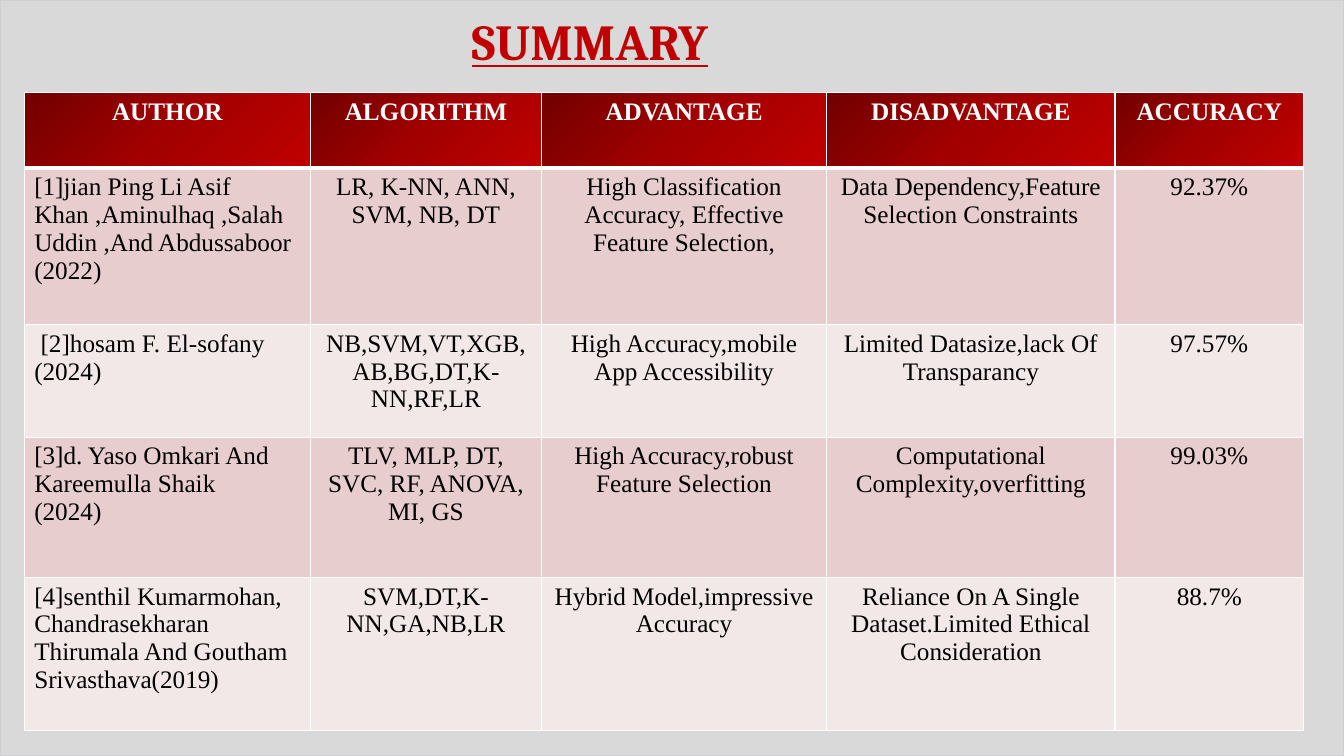
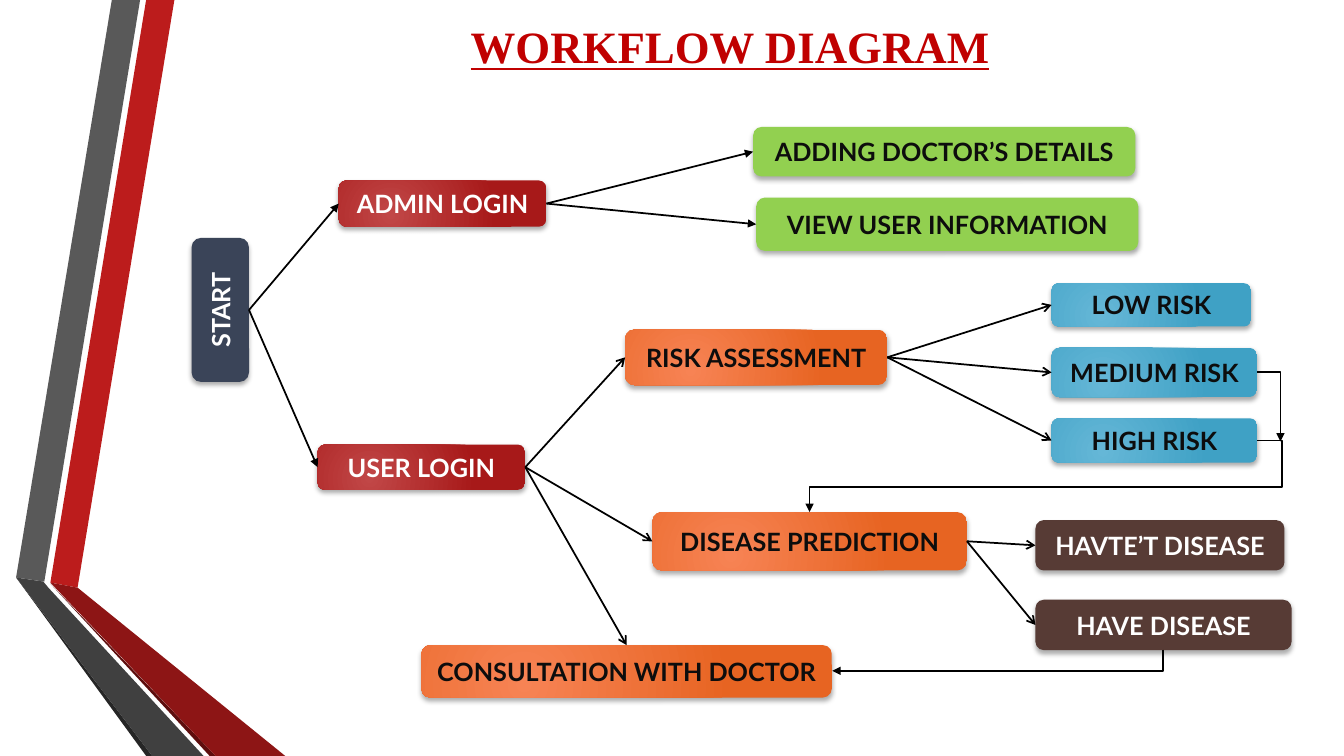
from dataclasses import dataclass
from pptx import Presentation
from pptx.dml.color import RGBColor as RGB
from pptx.enum.shapes import MSO_CONNECTOR as LINK, MSO_SHAPE as SHAPE
from pptx.enum.text import MSO_ANCHOR as ANCHOR, PP_ALIGN as ALIGN
from pptx.oxml import parse_xml
from pptx.oxml.ns import nsdecls, qn
from pptx.util import Inches, Pt


@dataclass(frozen=True)
class Theme:
    white: str = "FFFFFF"
    black: str = "000000"
    ink: str = "0D0D0D"
    title: str = "C00000"
    panel: str = "D9D9D9"
    panel_line: str = "CDD0D1"
    bands: tuple = ("E7CDCD", "F3E8E8")
    header: tuple = ("720000", "A20000", "C00000")
    serif: str = "Times New Roman"
    display: str = "Cambria"
    sans: str = "Lato"
    body_size: int = 18
    line: float = 1.25


T = Theme()
W, H = 13.33, 7.5

RIBBONS = [
    ("BC1C1C", [(0.5, 5.78), (0.77, 5.83), (1.73, 0), (1.45, 0)]),
    ("595959", [(1.39, 0), (1.11, 0), (0.16, 5.73), (0.44, 5.77)]),
    ("262626", [(0.16, 5.73), (1.45, 7.5), (1.51, 7.5)]),
    ("5E0E0E", [(0.5, 5.79), (2.08, 7.5), (2.14, 7.5)]),
    ("8D1515", [(0.5, 5.78), (2.14, 7.5), (2.83, 7.5), (0.77, 5.83)]),
    ("404040", [(2.02, 7.5), (0.48, 5.83), (0.43, 5.77), (0.16, 5.73), (1.51, 7.5)]),
]

COLUMNS = [("AUTHOR", 2.84), ("ALGORITHM", 2.29), ("ADVANTAGE", 2.83),
           ("DISADVANTAGE", 2.86), ("ACCURACY", 1.87)]
ROW_HEIGHTS = [0.75, 1.55, 1.12, 1.39, 1.52]
STUDIES = [
    ("[1]jian Ping Li Asif Khan ,Aminulhaq ,Salah Uddin ,And Abdussaboor\n(2022)",
     "LR, K-NN, ANN, SVM, NB, DT",
     "High Classification Accuracy, Effective Feature Selection,",
     "Data Dependency,Feature Selection Constraints", "92.37%"),
    (" [2]hosam F. El-sofany\n(2024)",
     "NB,SVM,VT,XGB,AB,BG,DT,K-NN,RF,LR",
     "High Accuracy,mobile App Accessibility",
     "Limited Datasize,lack Of Transparancy", "97.57%"),
    ("[3]d. Yaso Omkari And Kareemulla Shaik\n(2024)",
     "TLV, MLP, DT, SVC, RF, ANOVA, MI, GS",
     "High Accuracy,robust Feature Selection",
     "Computational Complexity,overfitting", "99.03%"),
    ("[4]senthil Kumarmohan, Chandrasekharan Thirumala And Goutham Srivasthava(2019)",
     "SVM,DT,K-NN,GA,NB,LR",
     "Hybrid Model,impressive Accuracy",
     "Reliance On A Single Dataset.Limited Ethical Consideration", "88.7%"),
]

STYLES = {
    "start": ("3A4458", T.white),
    "login": (("C14747", "A71919"), T.white),
    "admin": ("92D050", T.ink),
    "user": (("F78354", "E76422"), T.ink),
    "risk": (("65B7D7", "3FA1C5"), T.ink),
    "result": ("573B35", T.white),
}
STEPS = {
    "START": ("start", 1.9, 2.36, 0.57, 1.43),
    "ADMIN LOGIN": ("login", 3.36, 1.79, 2.06, 0.46),
    "USER LOGIN": ("login", 3.15, 4.41, 2.06, 0.45),
    "ADDING DOCTOR’S DETAILS": ("admin", 7.47, 1.26, 3.79, 0.49),
    "VIEW USER INFORMATION": ("admin", 7.5, 1.96, 3.79, 0.53),
    "RISK ASSESSMENT": ("user", 6.2, 3.27, 2.6, 0.55),
    "DISEASE PREDICTION": ("user", 6.47, 5.08, 3.12, 0.58),
    "CONSULTATION WITH DOCTOR": ("user", 4.18, 6.4, 4.07, 0.52),
    "LOW RISK": ("risk", 10.43, 2.81, 1.98, 0.43),
    "MEDIUM RISK": ("risk", 10.43, 3.45, 2.04, 0.49),
    "HIGH RISK": ("risk", 10.43, 4.15, 2.04, 0.44),
    "HAVTE’T DISEASE": ("result", 10.27, 5.16, 2.47, 0.5),
    "HAVE DISEASE": ("result", 10.27, 5.95, 2.54, 0.5),
}
TOP, LEFT, RIGHT = 0, 1, 3
FLOWS = [
    ("START", "triangle", [("ADMIN LOGIN", LEFT), ("USER LOGIN", LEFT)]),
    ("ADMIN LOGIN", "triangle", [("ADDING DOCTOR’S DETAILS", LEFT),
                                 ("VIEW USER INFORMATION", LEFT)]),
    ("USER LOGIN", "arrow", [("RISK ASSESSMENT", LEFT), ("DISEASE PREDICTION", LEFT),
                             ("CONSULTATION WITH DOCTOR", TOP)]),
    ("RISK ASSESSMENT", "arrow", [("LOW RISK", LEFT), ("MEDIUM RISK", LEFT),
                                  ("HIGH RISK", LEFT)]),
    ("DISEASE PREDICTION", "arrow", [("HAVTE’T DISEASE", LEFT), ("HAVE DISEASE", LEFT)]),
]
ELBOWS = [
    ("bentConnector2", (12.47, 3.69), (12.7, 4.38), 0, ()),
    ("bentConnector4", (12.47, 4.37), (8.03, 5.08), 0, (-5600, 65400)),
    ("bentConnector2", (9.79, 4.91), (10, 8.19), 90, ()),
]


def paint(fill, parent, color, focus):
    fill.solid()
    if isinstance(color, str):
        fill.fore_color.rgb = RGB.from_string(color)
        return
    stops = "".join(
        f'<a:gs pos="{100000 * i // (len(color) - 1)}"><a:srgbClr val="{c}"/></a:gs>'
        for i, c in enumerate(color))
    l, t, r, b = (1000 * v for v in focus)
    gradient = parse_xml(
        f'<a:gradFill {nsdecls("a")} rotWithShape="1"><a:gsLst>{stops}</a:gsLst>'
        f'<a:path path="circle"><a:fillToRect l="{l}" t="{t}" r="{r}" b="{b}"/></a:path>'
        '</a:gradFill>')
    parent.replace(parent.find(qn("a:solidFill")), gradient)


def write(tf, text, font, size, color, bold=False, underline=False, align=ALIGN.LEFT):
    for i, line in enumerate(text.split("\n")):
        p = tf.add_paragraph() if i else tf.paragraphs[0]
        p.alignment = align
        r = p.add_run()
        r.text = line
        r.font.name, r.font.size = font, Pt(size)
        r.font.bold, r.font.underline = bold, underline
        r.font.color.rgb = RGB.from_string(color)


def add_title(s, text, box, font, size, anchor):
    tf = s.shapes.add_textbox(*map(Inches, box)).text_frame
    tf.word_wrap = True
    tf.vertical_anchor = anchor
    write(tf, text, font, size, T.title, True, True)


def add_ribbons(s, layout):
    for color, points in RIBBONS:
        points = [tuple(map(Inches, pt)) for pt in points]
        fb = s.shapes.build_freeform(*points[0])
        fb.add_line_segments(points[1:], close=True)
        sp = fb.convert_to_shape()
        sp.shadow.inherit = False
        paint(sp.fill, sp._element.spPr, color, None)
        sp.line.fill.background()
        layout.shapes._spTree.append(sp._element)


def style_cell(cell, text, header, color, align):
    tcPr = cell._tc.get_or_add_tcPr()
    for side in "LRTB":
        width = Pt(3 if header and side == "B" else 1)
        tcPr.append(parse_xml(
            f'<a:ln{side} {nsdecls("a")} w="{width}"><a:solidFill>'
            f'<a:srgbClr val="{T.white}"/></a:solidFill></a:ln{side}>'))
    paint(cell.fill, tcPr, color, (0, 0, 100, 100))
    write(cell.text_frame, text, T.serif, T.body_size,
          T.white if header else T.black, header, align=align)


def add_summary(s):
    panel = s.shapes.add_shape(SHAPE.RECTANGLE, 0, 0, Inches(W), Inches(H))
    panel.shadow.inherit = False
    paint(panel.fill, panel._element.spPr, T.panel, None)
    panel.line.color.rgb = RGB.from_string(T.panel_line)
    panel.line.width = Pt(T.line)
    rows = [[name for name, _ in COLUMNS], *STUDIES]
    table = s.shapes.add_table(len(rows), len(COLUMNS), Inches(0.24), Inches(0.92),
                               Inches(12.7), Inches(sum(ROW_HEIGHTS))).table
    for col, (_, width) in zip(table.columns, COLUMNS):
        col.width = Inches(width)
    for i, (values, height) in enumerate(zip(rows, ROW_HEIGHTS)):
        table.rows[i].height = Inches(height)
        for j, text in enumerate(values):
            color = T.bands[(i - 1) % 2] if i else T.header
            align = ALIGN.LEFT if i and j == 0 else ALIGN.CENTER
            style_cell(table.cell(i, j), text, i == 0, color, align)
    add_title(s, "SUMMARY", (4.58, 0.12, 3.33, 0.57), T.display, 36, ANCHOR.MIDDLE)


def add_step(s, text, style, *box):
    color, ink = STYLES[style]
    sp = s.shapes.add_shape(SHAPE.ROUNDED_RECTANGLE, *map(Inches, box))
    spPr = sp._element.spPr
    paint(sp.fill, spPr, color, (50, 100, 100, 50))
    sp.line.fill.background()
    sp.shadow.inherit = False
    spPr.find(qn("a:effectLst")).append(parse_xml(
        f'<a:outerShdw {nsdecls("a")} blurRad="{Pt(3.5)}" dist="{Pt(2.2)}" dir="5400000" '
        f'rotWithShape="0"><a:srgbClr val="{T.black}"><a:alpha val="32000"/></a:srgbClr>'
        '</a:outerShdw>'))
    tf = sp.text_frame
    tf.word_wrap = True
    tf.vertical_anchor = ANCHOR.MIDDLE
    if style == "start":
        tf._txBody.bodyPr.set("vert", "vert270")
    write(tf, text, T.sans, T.body_size, ink, True, align=ALIGN.CENTER)
    return sp


def add_arrow(s, kind, head, start=(0, 0), end=(0, 0)):
    link = s.shapes.add_connector(kind, *map(Inches, (*start, *end)))
    link.line.color.rgb = RGB.from_string(T.black)
    link.line.width = Pt(T.line)
    spPr = link._element.spPr
    spPr.find(qn("a:ln")).append(parse_xml(f'<a:tailEnd {nsdecls("a")} type="{head}"/>'))
    spPr.append(parse_xml(f'<a:effectLst {nsdecls("a")}/>'))
    return link


def add_elbow(s, preset, start, end, turn, adjusts):
    spPr = add_arrow(s, LINK.ELBOW, "triangle", start, end)._element.spPr
    if turn:
        spPr.find(qn("a:xfrm")).set("rot", str(turn * 60000))
    guides = "".join(f'<a:gd name="adj{i}" fmla="val {v}"/>'
                     for i, v in enumerate(adjusts, 1))
    spPr.replace(spPr.find(qn("a:prstGeom")), parse_xml(
        f'<a:prstGeom {nsdecls("a")} prst="{preset}"><a:avLst>{guides}</a:avLst>'
        '</a:prstGeom>'))


def add_workflow(s):
    add_title(s, "WORKFLOW DIAGRAM", (4.57, 0.14, 5.56, 0.64), T.serif, 32, ANCHOR.TOP)
    steps = {text: add_step(s, text, *spec) for text, spec in STEPS.items()}
    for source, head, targets in FLOWS:
        for target, side in targets:
            link = add_arrow(s, LINK.STRAIGHT, head)
            link.begin_connect(steps[source], RIGHT)
            link.end_connect(steps[target], side)
    for elbow in ELBOWS:
        add_elbow(s, *elbow)


def main():
    prs = Presentation()
    prs.slide_width, prs.slide_height = Inches(W), Inches(H)
    blank = prs.slide_layouts[6]
    summary, workflow = (prs.slides.add_slide(blank) for _ in range(2))
    add_ribbons(summary, blank)
    add_summary(summary)
    add_workflow(workflow)
    prs.save("out.pptx")


if __name__ == "__main__":
    main()
